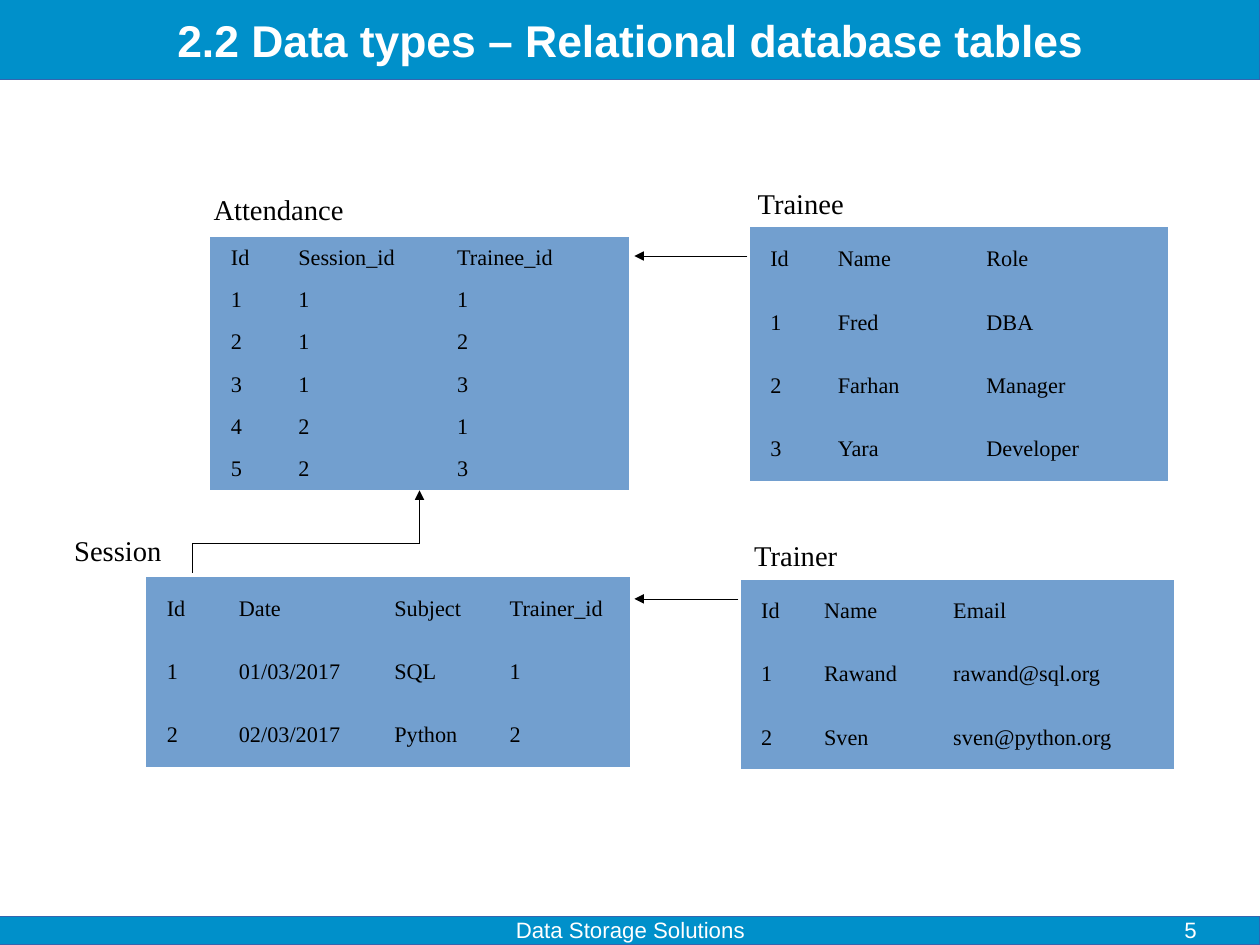
from dataclasses import dataclass

from lxml.etree import SubElement
from pptx import Presentation
from pptx.dml.color import RGBColor
from pptx.enum.shapes import MSO_CONNECTOR, MSO_SHAPE
from pptx.enum.text import MSO_ANCHOR, PP_ALIGN
from pptx.oxml.ns import qn
from pptx.util import Inches, Pt


@dataclass(frozen=True)
class Theme:
    banner: RGBColor = RGBColor(0x00, 0x90, 0xCA)
    banner_line: RGBColor = RGBColor(0x34, 0x65, 0xAF)
    cell: RGBColor = RGBColor(0x72, 0x9F, 0xCF)
    dark: RGBColor = RGBColor(0x00, 0x00, 0x00)
    light: RGBColor = RGBColor(0xFF, 0xFF, 0xFF)
    heading_font: str = "Arial"
    body_font: str = "Times New Roman"
    title_size: int = 28
    label_size: int = 18
    body_size: int = 14
    plain_table: str = "{2D5ABB26-0587-4C30-8999-92F81FD0307C}"


THEME = Theme()
CENTIMETRES_PER_INCH = 2.54
WIDTH, HEIGHT = 28 / CENTIMETRES_PER_INCH, 21 / CENTIMETRES_PER_INCH
TITLE_HEIGHT, FOOTER_HEIGHT = 0.7, 0.25
FOOTER_TOP = HEIGHT - FOOTER_HEIGHT

TABLES = [
    ("Trainee", (6.53, 1.58, 1.03), (6.56, 1.99), 2.22, [0.59, 1.3, 1.77], [
        ["Id", "Name", "Role"],
        ["1", "Fred", "DBA"],
        ["2", "Farhan", "Manager"],
        ["3", "Yara", "Developer"],
    ]),
    ("Trainer", (6.5, 4.66, 0.98), (6.48, 5.07), 1.66, [0.55, 1.13, 2.11], [
        ["Id", "Name", "Email"],
        ["1", "Rawand", "rawand@sql.org"],
        ["2", "Sven", "sven@python.org"],
    ]),
    ("Session", (0.55, 4.61, 1.08), (1.28, 5.05), 1.66, [0.63, 1.36, 1.01, 1.23], [
        ["Id", "Date", "Subject", "Trainer_id"],
        ["1", "01/03/2017", "SQL", "1"],
        ["2", "02/03/2017", "Python", "2"],
    ]),
    ("Attendance", (1.77, 1.63, 1.46), (1.84, 2.07), 2.22, [0.59, 1.39, 1.68], [
        ["Id", "Session_id", "Trainee_id"],
        ["1", "1", "1"],
        ["2", "1", "2"],
        ["3", "1", "3"],
        ["4", "2", "1"],
        ["5", "2", "3"],
    ]),
]


def add_run(paragraph, text, font, size, color, bold=False):
    run = paragraph.add_run()
    run.text = text
    run.font.name = font
    run.font.size = Pt(size)
    run.font.color.rgb = color
    run.font.bold = bold


def set_hairline(line, color):
    line.color.rgb = color
    outline = line._get_or_add_ln()
    outline.set("w", "0")
    return outline


def add_banner(slide, top, height):
    shape = slide.shapes.add_shape(
        MSO_SHAPE.RECTANGLE, 0, Inches(top), Inches(WIDTH), Inches(height))
    shape.shadow.inherit = False
    shape.fill.solid()
    shape.fill.fore_color.rgb = THEME.banner
    set_hairline(shape.line, THEME.banner_line)


def add_text_box(slide, left, top, width, height, margins=(0, 0)):
    frame = slide.shapes.add_textbox(
        Inches(left), Inches(top), Inches(width), Inches(height)).text_frame
    frame.word_wrap = True
    frame.margin_left = frame.margin_right = Inches(margins[0])
    frame.margin_top = frame.margin_bottom = Inches(margins[1])
    return frame


def add_banner_text(slide, text, box, alignment, size, bold=False):
    frame = add_text_box(slide, *box)
    if bold:
        frame.vertical_anchor = MSO_ANCHOR.MIDDLE
    paragraph = frame.paragraphs[0]
    paragraph.alignment = alignment
    add_run(paragraph, text, THEME.heading_font, size, THEME.light, bold)


def add_label(slide, text, left, top, width):
    frame = add_text_box(slide, left, top, width, 0.38, (0.1, 0.05))
    add_run(frame.paragraphs[0], text, THEME.body_font, THEME.label_size, THEME.dark)


def fill_cell(cell, text):
    cell.fill.solid()
    cell.fill.fore_color.rgb = THEME.cell
    cell.vertical_anchor = MSO_ANCHOR.MIDDLE
    cell.margin_left = cell.margin_right = Inches(0.1)
    cell.margin_top = cell.margin_bottom = Inches(0.05)
    paragraph = cell.text_frame.paragraphs[0]
    paragraph.alignment = PP_ALIGN.JUSTIFY
    properties = paragraph._p.get_or_add_pPr()
    properties.set("marL", str(Inches(0.08)))
    properties.set("indent", "0")
    add_run(paragraph, text, THEME.body_font, THEME.body_size, THEME.dark)


def add_data_table(slide, left, top, height, widths, rows):
    table = slide.shapes.add_table(
        len(rows), len(widths), Inches(left), Inches(top),
        Inches(sum(widths)), Inches(height)).table
    table.first_row = table.horz_banding = False
    table._tbl.tblPr.find(qn("a:tableStyleId")).text = THEME.plain_table
    for column, width in zip(table.columns, widths):
        column.width = Inches(width)
    for row, texts in zip(table.rows, rows):
        row.height = Inches(height / len(rows))
        for cell, text in zip(row.cells, texts):
            fill_cell(cell, text)


def add_arrow(slide, start, end, kind=MSO_CONNECTOR.STRAIGHT):
    connector = slide.shapes.add_connector(
        kind, *(Inches(value) for value in (*start, *end)))
    outline = set_hairline(connector.line, THEME.dark)
    SubElement(outline, qn("a:tailEnd"), type="triangle")
    SubElement(connector._element.spPr, qn("a:effectLst"))
    return connector


def add_upright_elbow(slide, start, end, bend):
    center_x, center_y = (start[0] + end[0]) / 2, (start[1] + end[1]) / 2
    half_run, half_rise = (end[0] - start[0]) / 2, (start[1] - end[1]) / 2
    connector = add_arrow(
        slide,
        (center_x + half_rise, center_y + half_run),
        (center_x - half_rise, center_y - half_run),
        MSO_CONNECTOR.ELBOW)
    properties = connector._element.spPr
    properties.find(qn("a:xfrm")).set("rot", str(90 * 60000))
    geometry = properties.find(qn("a:prstGeom"))
    adjustments = geometry.find(qn("a:avLst"))
    if adjustments is None:
        adjustments = SubElement(geometry, qn("a:avLst"))
    SubElement(adjustments, qn("a:gd"), name="adj1", fmla=f"val {round(bend * 100000)}")


def main():
    presentation = Presentation()
    presentation.slide_width = Inches(WIDTH)
    presentation.slide_height = Inches(HEIGHT)
    slide = presentation.slides.add_slide(presentation.slide_layouts[6])

    add_banner(slide, 0, TITLE_HEIGHT)
    add_banner(slide, FOOTER_TOP, FOOTER_HEIGHT)
    add_banner_text(slide, "2.2 Data types – Relational database tables",
                    (0, 0, WIDTH, TITLE_HEIGHT), PP_ALIGN.CENTER,
                    THEME.title_size, bold=True)

    for _, _, position, height, widths, rows in TABLES:
        add_data_table(slide, *position, height, widths, rows)

    add_arrow(slide, (6.54, 2.24), (5.55, 2.24))
    add_arrow(slide, (6.46, 5.24), (5.55, 5.24))
    add_upright_elbow(slide, (1.68, 5.01), (3.67, 4.29), 0.36)

    for name, label_box, *_ in TABLES:
        add_label(slide, name, *label_box)

    add_banner_text(slide, "Data Storage Solutions",
                    (3.77, FOOTER_TOP, 3.49, FOOTER_HEIGHT),
                    PP_ALIGN.CENTER, THEME.body_size)
    add_banner_text(slide, "5", (7.9, FOOTER_TOP, 2.57, FOOTER_HEIGHT),
                    PP_ALIGN.RIGHT, THEME.body_size)
    presentation.save("out.pptx")


if __name__ == "__main__":
    main()
